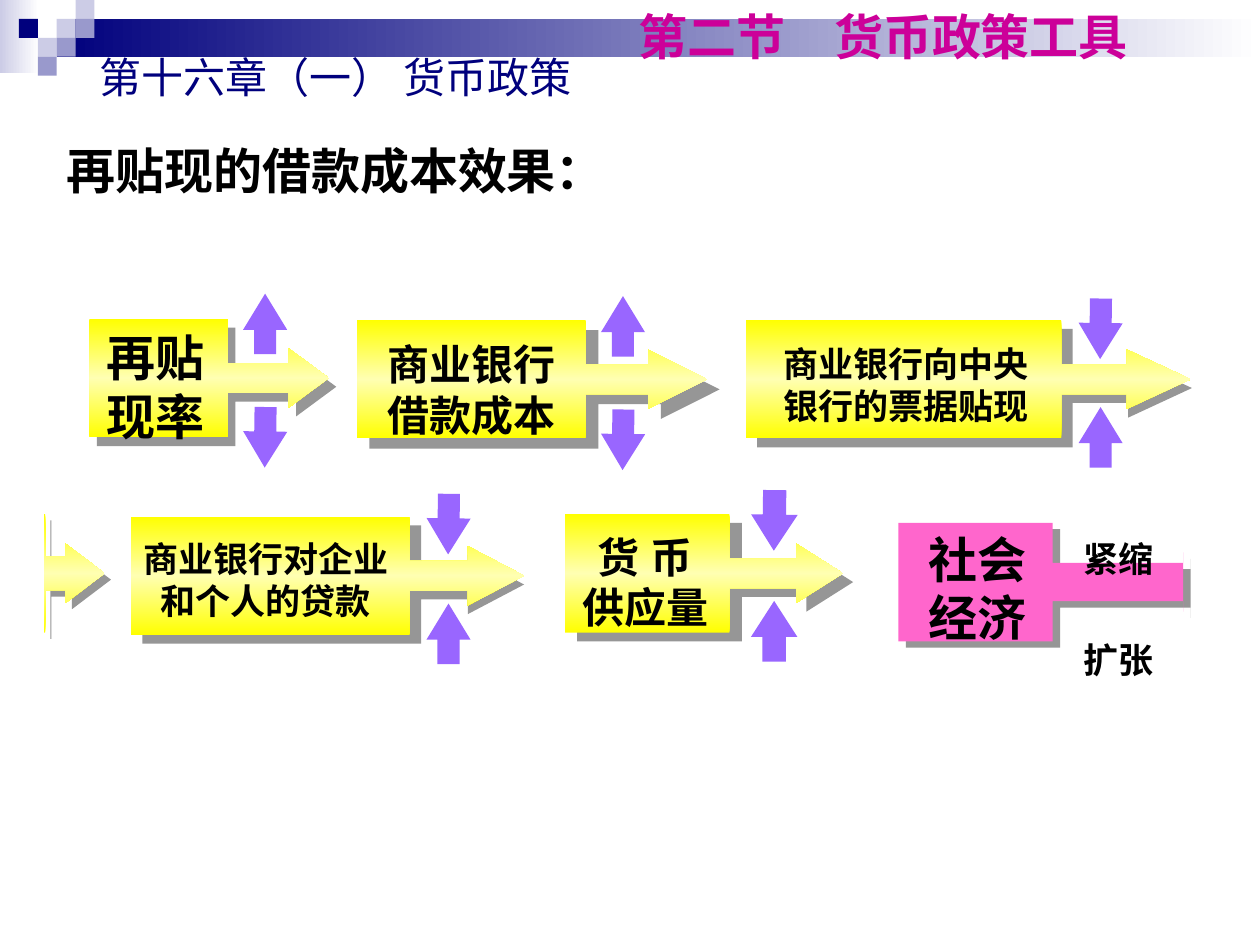
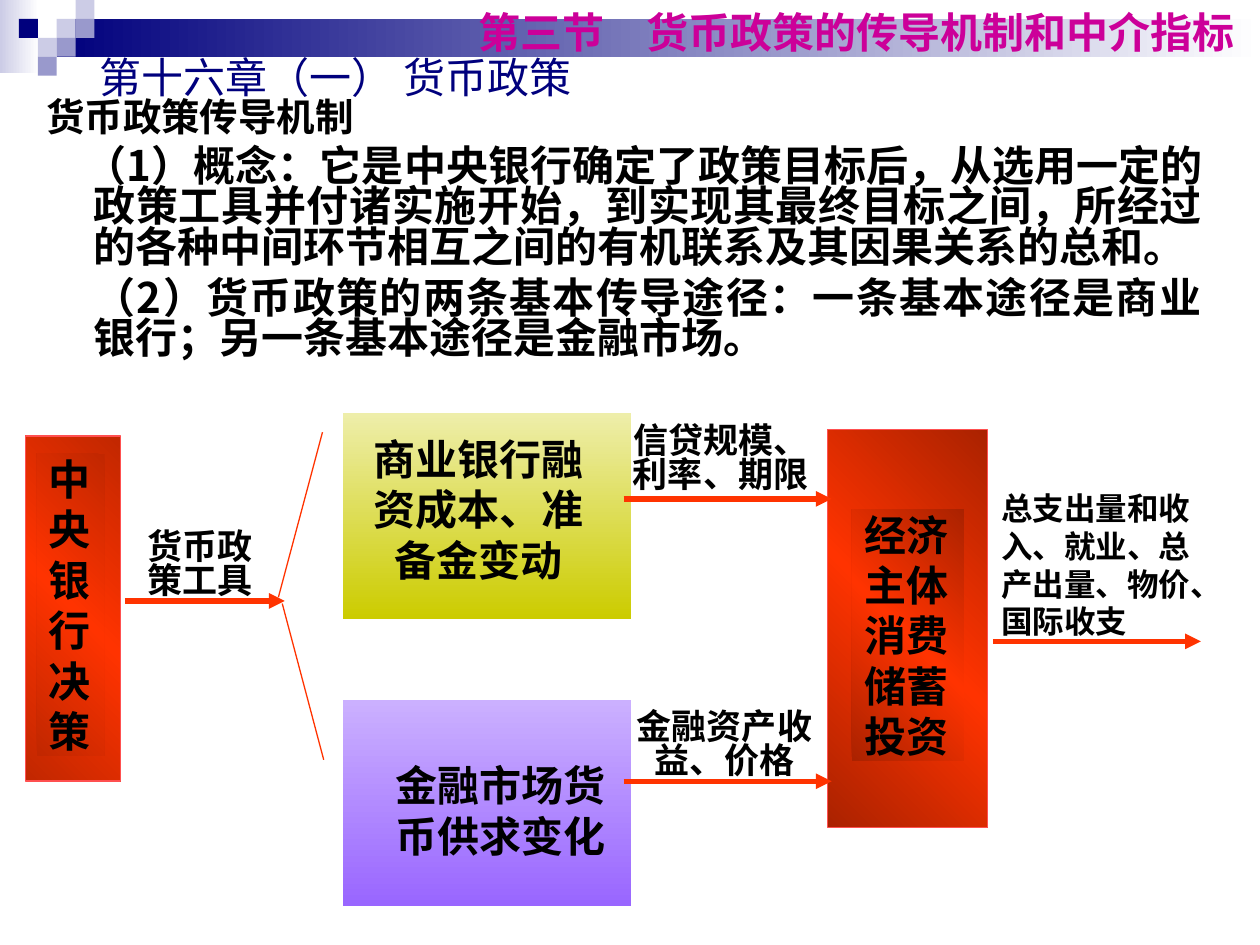
from lxml import etree
from pptx import Presentation
from pptx.dml.color import RGBColor
from pptx.enum.lang import MSO_LANGUAGE_ID as LANG
from pptx.enum.shapes import MSO_CONNECTOR, MSO_SHAPE
from pptx.enum.text import PP_ALIGN as ALIGN
from pptx.oxml.ns import qn
from pptx.util import Pt

ARIAL, KARLA, NOTO = "Arial", "Karla", "Noto Sans CJK SC"
BLACK, NAVY, MAGENTA = "000000", "00007D", "CC0099"
PALE, MID, WHITE = "CCCCE6", "9999CC", "FFFFFF"
PURPLE, GREY, PINK, RED = "9966FF", "969696", "FF66CC", "FF3300"
YELLOW = ("FFFF00", "FFFFB2", "FFFF00")
BRICK = ("C12700", RED, "C12700")
DARK_BRICK = ("AA2200", RED, "AA2200")
UNIT = 10.8
CALLOUT_H = 67.7
HEAD_HALF = 16.9


def rgb(color):
    return RGBColor.from_string(color)


def paint(sp, fill, angle=90):
    if isinstance(fill, str):
        sp.fill.solid()
        sp.fill.fore_color.rgb = rgb(fill)
        return
    sp.fill.gradient()
    sp.fill.gradient_angle = (360 - angle) % 360
    stops = sp.element.spPr.find(".//" + qn("a:gsLst"))
    for stop in list(stops):
        stops.remove(stop)
    for i, color in enumerate(fill):
        gs = etree.SubElement(stops, qn("a:gs"), pos=str(100000 * i // (len(fill) - 1)))
        etree.SubElement(gs, qn("a:srgbClr"), val=color)


def add_shape(s, kind, box, fill, angle=90, line=None, adjust=()):
    sp = s.shapes.add_shape(kind, *map(Pt, box))
    sp.shadow.inherit = False
    paint(sp, fill, angle)
    if line:
        sp.line.color.rgb = rgb(line)
        sp.line.width = Pt(0.75)
    else:
        sp.line.fill.background()
    for i, value in enumerate(adjust):
        sp.adjustments[i] = value
    return sp


def add_rect(s, box, fill, angle=90, line=None):
    return add_shape(s, MSO_SHAPE.RECTANGLE, box, fill, angle, line)


def format_run(r, size, font, color=BLACK, bold=True):
    r.font.size = Pt(size)
    r.font.bold = bold
    r.font.color.rgb = rgb(color)
    r.font.name = font
    r.font.language_id = LANG.SIMPLIFIED_CHINESE
    etree.SubElement(r.font._element, qn("a:ea"), typeface=KARLA)


def write(sp, text, size, font, color=BLACK, bold=True, align=ALIGN.LEFT,
          spacing=None, inset=3.6, wrap=True):
    tf = sp.text_frame
    tf.word_wrap = wrap
    tf.margin_left = tf.margin_right = Pt(7.2)
    tf.margin_top = tf.margin_bottom = Pt(inset)
    tf.text = text
    for p in tf.paragraphs:
        p.alignment = align
        if spacing:
            p.line_spacing = spacing
        for r in p.runs:
            format_run(r, size, font, color, bold)
    return tf


def add_text(s, box, text, size, font=NOTO, **style):
    return write(s.shapes.add_textbox(*map(Pt, box)), text, size, font, **style)


def add_line(s, x1, y1, x2, y2, width=0.75, arrow=False):
    line = s.shapes.add_connector(MSO_CONNECTOR.STRAIGHT, *map(Pt, (x1, y1, x2, y2)))
    line.line.color.rgb = rgb(RED)
    line.line.width = Pt(width)
    if arrow:
        etree.SubElement(line.line._get_or_add_ln(), qn("a:tailEnd"), type="triangle")
    etree.SubElement(line.element.spPr, qn("a:effectLst"))


def add_flow(s, x, y, length):
    add_line(s, x, y, x + length, y, 3, True)


def add_callout(s, x, y, w, body, head, shaft, fill):
    side = min(w, CALLOUT_H)
    adjust = (shaft / side, HEAD_HALF / side, head / side, body / w)
    add_shape(s, MSO_SHAPE.RIGHT_ARROW_CALLOUT, (x, y, w, CALLOUT_H), fill, adjust=adjust)


def add_raised_callout(s, x, y, w, body, head, dx, dy, trim=0, shaft=16.9, fill=YELLOW):
    add_callout(s, x + dx, y + dy, w - trim, body, head, shaft, GREY)
    add_callout(s, x, y, w, body, head, shaft, fill)


def add_trend(s, x, y, down, w=25.2):
    sp = add_shape(s, MSO_SHAPE.UP_ARROW, (x, y, w, 34.6), PURPLE, adjust=(0.5, 20.64 / w))
    if down:
        sp.rotation = 180.8


def add_header(s, title, title_box, size):
    add_rect(s, (0, 0, 22.3, 41.8), (PALE, WHITE), 0)
    add_rect(s, (3 * UNIT, UNIT, 720 - 3 * UNIT, 2 * UNIT), (NAVY, WHITE), 0)
    for col, row, color in ((3, 1, PALE), (4, 0, PALE), (4, 1, MID), (2, 2, PALE),
                            (1, 1, NAVY), (3, 2, MID), (2, 3, MID)):
        add_rect(s, (col * UNIT, row * UNIT, UNIT, UNIT), color)
    add_text(s, (49.7, 25.9, 288.7, 36), "第十六章（一） 货币政策", 24, ARIAL,
             color=NAVY, bold=False, wrap=False)
    add_text(s, title_box, title, size, ARIAL, color=MAGENTA, wrap=False)


def build_rediscount(s):
    add_header(s, "第二节　货币政策工具", (357.8, 0, 298, 41), 28)
    add_text(s, (31, 77, 612, 45), "再贴现的借款成本效果：", 28)

    for x, up_y, down_y in ((138.9, 167.8, 232.6), (343.4, 169.2, 234),
                            (616.3, 232.6, 170.6), (243.7, 344.9, 282.2)):
        add_trend(s, x, up_y, False)
        add_trend(s, x, down_y, True)
    add_trend(s, 429.1, 343.4, False, 26.6)
    add_trend(s, 429.1, 280.1, True, 26.6)

    add_raised_callout(s, 51.1, 182.2, 136.8, 79.2, 22.9, 4.3, 5)
    add_raised_callout(s, 203.8, 182.9, 200.2, 130.9, 33.6, 7.2, 5.8)
    add_raised_callout(s, 426.2, 182.9, 254.2, 180.2, 36.4, 6.5, 5, 5.8)
    add_raised_callout(s, 25.2, 293.8, 34.6, 0.6, 22.3, 3.6, 3.6, shaft=19.3)
    add_raised_callout(s, 74.9, 295.2, 224.6, 159.2, 32.1, 6.5, 5, 6.5)
    add_raised_callout(s, 322.6, 293.8, 159.1, 94.2, 26.7, 7.2, 5, 1.4)
    add_raised_callout(s, 513.4, 298.8, 162.7, 88.2, 0, 4.3, 3.6, shaft=21.9, fill=PINK)

    add_text(s, (54, 183.6, 87.1, 75), "再贴现率", 28)
    add_text(s, (214.6, 190, 127.4, 65), "商业银行借款成本", 24)
    add_text(s, (440.6, 192.2, 158.4, 55.4), "商业银行向中央银行的票据贴现", 20)
    add_text(s, (73.4, 303.8, 157, 55.4), "商业银行对企业和个人的贷款", 20, align=ALIGN.CENTER)
    add_text(s, (321.1, 300.2, 95, 65), "货 币\n供应量", 24, align=ALIGN.CENTER)
    add_text(s, (523.4, 298.8, 73.4, 75), "社会经济", 28)
    add_text(s, (594, 270, 90, 122.4), "紧缩\n扩张", 20, align=ALIGN.CENTER, spacing=2.4)


def add_transmission_notes(s):
    tf = add_text(s, (19.4, 54.7, 674.6, 175.7),
                  "货币政策传导机制\n"
                  "（1）概念：它是中央银行确定了政策目标后，从选用一定的政策工具并付诸实施开始，"
                  "到实现其最终目标之间，所经过的各种中间环节相互之间的有机联系及其因果关系的总和。\n"
                  "（2）货币政策的两条基本传导途径：一条基本途径是商业银行；"
                  "另一条基本途径是金融市场。",
                  24, align=ALIGN.JUSTIFY, spacing=0.8)
    for p, indent in zip(tf.paragraphs, (-27, -5, 0)):
        pPr = p._p.get_or_add_pPr()
        pPr.set("marL", str(Pt(27)))
        pPr.set("indent", str(Pt(indent)))
    for p in tf.paragraphs[1:]:
        p.space_before = Pt(6)
    tf.paragraphs[0].runs[0].font.size = Pt(22)


def add_block(s, box, inner, text, fill):
    add_rect(s, box, fill, 315, "FF5050")
    write(add_rect(s, inner, fill, 315), text, 24, KARLA, inset=0).vertical_anchor = 1


def build_transmission(s):
    add_header(s, "第三节　货币政策的传导机制和中介指标", (266.4, 0, 449.3, 36), 24)
    add_transmission_notes(s)

    add_rect(s, (195.8, 400.3, 164.9, 117.4), ("CBB0FF", PURPLE))
    add_rect(s, (195.8, 236.2, 164.9, 117.4), ("EEEEAA", "CCCC00"))
    add_block(s, (14.4, 249.1, 54.7, 197.3), (20.9, 259.2, 38.9, 172.8), "中央银行决策", BRICK)
    add_block(s, (473, 245.5, 91.4, 227.5), (486.7, 290.9, 64.1, 144), "经济主体消费储蓄投资", DARK_BRICK)

    for box, text, size, align, spacing in (
            ((200.9, 247.7, 145.4, 86.4), "商业银行融资成本、准备金变动", 24, ALIGN.CENTER, None),
            ((218.2, 434.2, 135.4, 57.6), "金融市场货币供求变化", 24, ALIGN.CENTER, None),
            ((77, 304.6, 82.1, 38.2), "货币政策工具", 20, ALIGN.LEFT, 0.8),
            ((353.5, 244.1, 116.6, 38.2), "信贷规模、利率、期限", 20, ALIGN.CENTER, 0.8),
            ((355.7, 407.5, 116.6, 38.2), "金融资产收益、价格", 20, ALIGN.CENTER, 0.8),
            ((565.2, 279.4, 124.6, 86.4), "总支出量和收入、就业、总产出量、物价、国际收支", 18,
             ALIGN.LEFT, None)):
        add_text(s, box, text, size, KARLA, align=align, spacing=spacing, inset=0)

    add_flow(s, 71.3, 343.4, 91.4)
    for x, y in ((356.4, 285.1), (356.4, 446.4), (567.4, 366.5)):
        add_flow(s, x, y, 118.8)
    add_line(s, 159.1, 341.3, 184.3, 247)
    add_line(s, 161.3, 344.9, 185, 434.2)


def main():
    prs = Presentation()
    prs.slide_width, prs.slide_height = Pt(720), Pt(540)
    for build in (build_rediscount, build_transmission):
        build(prs.slides.add_slide(prs.slide_layouts[6]))
    prs.save("out.pptx")


if __name__ == "__main__":
    main()
